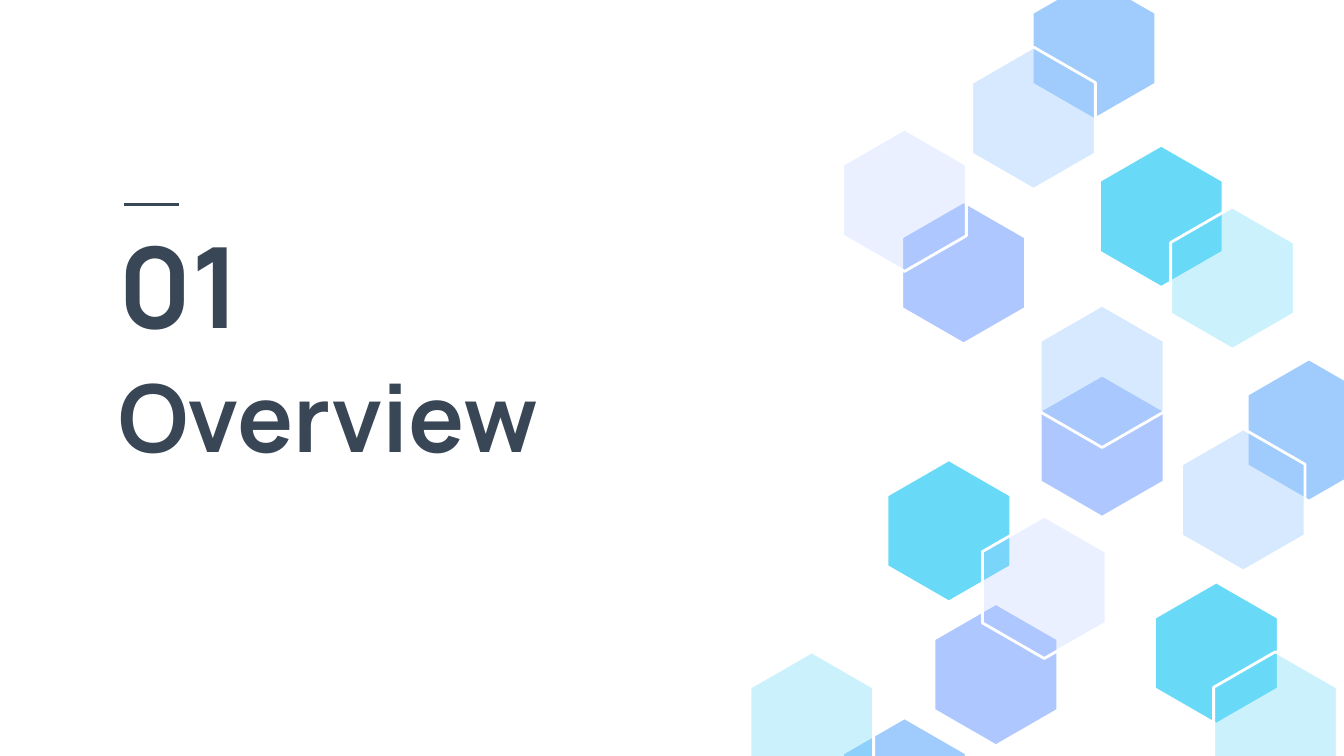
from lxml import etree
from pptx import Presentation
from pptx.dml.color import RGBColor
from pptx.enum.shapes import MSO_CONNECTOR
from pptx.enum.text import MSO_ANCHOR
from pptx.oxml.ns import qn
from pptx.util import Inches, Pt

STRAIGHT = MSO_CONNECTOR.STRAIGHT
MIDDLE, BOTTOM = MSO_ANCHOR.MIDDLE, MSO_ANCHOR.BOTTOM

FONT = "Manrope"
DARK, WHITE = "384655", "FFFFFF"
HEX_W, HEX_H = 0.92, 1.06

# Fill colour and opacity in percent
PERIWINKLE, PERIWINKLE_PALE = ("AFC7FF", 100), ("AFC7FF", 25)
BLUE, BLUE_PALE = ("9FCBFD", 100), ("9FCBFD", 41)
CYAN, CYAN_PALE = ("68DAF8", 100), ("68DAF8", 34)

# Left, top (within the cluster) and fill, from back to front
HEXAGONS = [
    (2.16, 2.79, PERIWINKLE),
    (2.10, -0.17, BLUE),
    (1.65, 0.35, BLUE_PALE),
    (1.13, 1.50, PERIWINKLE),
    (0.69, 0.96, PERIWINKLE_PALE),
    (2.60, 1.08, CYAN),
    (2.16, 2.27, BLUE_PALE),
    (3.13, 1.54, CYAN_PALE),
    (1.02, 3.42, CYAN),
    (1.37, 4.49, PERIWINKLE),
    (0.69, 5.34, BLUE),
    (1.73, 3.84, PERIWINKLE_PALE),
    (0.00, 4.85, CYAN_PALE),
    (3.70, 2.67, BLUE),
    (3.21, 3.19, BLUE_PALE),
    (3.01, 4.33, CYAN),
    (3.45, 4.85, CYAN_PALE),
]


def rgb(value):
    return RGBColor.from_string(value)


def add_text(s, x, y, w, h, text, size, anchor):
    tf = s.shapes.add_textbox(Inches(x), Inches(y), Inches(w), Inches(h)).text_frame
    tf.word_wrap = True
    tf.vertical_anchor = anchor
    tf.margin_left = tf.margin_right = tf.margin_top = tf.margin_bottom = Inches(0.1)
    r = tf.paragraphs[0].add_run()
    r.text = text
    r.font.name = FONT
    r.font.size = Pt(size)
    r.font.bold = True
    r.font.color.rgb = rgb(DARK)


def add_hexagon(s, x, y, fill):
    # Pointed at top and bottom, with upright sides from 1/4 to 3/4 of the height
    corners = [(0.5, 0), (0, 0.25), (0, 0.75), (0.5, 1), (1, 0.75), (1, 0.25)]
    points = [(Inches(x + HEX_W * u), Inches(y + HEX_H * v)) for u, v in corners]
    builder = s.shapes.build_freeform(*points[0])
    builder.add_line_segments(points[1:], close=True)
    sp = builder.convert_to_shape()
    sp.shadow.inherit = False
    color, opacity = fill
    sp.fill.solid()
    sp.fill.fore_color.rgb = rgb(color)
    if opacity < 100:
        clr = sp._element.spPr.find(qn("a:solidFill")).find(qn("a:srgbClr"))
        etree.SubElement(clr, qn("a:alpha")).set("val", str(opacity * 1000))
    sp.line.color.rgb = rgb(WHITE)
    sp.line.width = Pt(1.5)


def add_heading(s, x, y, w):
    # Section title and number
    add_text(s, x, y + 1.09, w, 1, "Overview", 50, BOTTOM)
    add_text(s, x, y + 0.09, 1.38, 1, "01", 60, MIDDLE)
    # Accent rule above the number
    rule = s.shapes.add_connector(
        STRAIGHT, Inches(x + 0.14), Inches(y), Inches(x + 0.55), Inches(y))
    rule.line.color.rgb = rgb(DARK)
    rule.line.width = Pt(1.5)
    etree.SubElement(rule._element.spPr, qn("a:effectLst"))


def add_hexagon_cluster(s, x, y):
    for left, top, fill in HEXAGONS:
        add_hexagon(s, x + left, y + top, fill)


def main():
    prs = Presentation()
    # Widescreen, 16:9
    prs.slide_width = Inches(10)
    prs.slide_height = Inches(10) * 9 // 16
    s = prs.slides.add_slide(prs.slide_layouts[6])
    s.background.fill.solid()
    s.background.fill.fore_color.rgb = rgb(WHITE)
    add_hexagon_cluster(s, 5.58, 0)
    add_heading(s, 0.78, 1.52, 4.75)
    prs.save("out.pptx")


if __name__ == "__main__":
    main()
